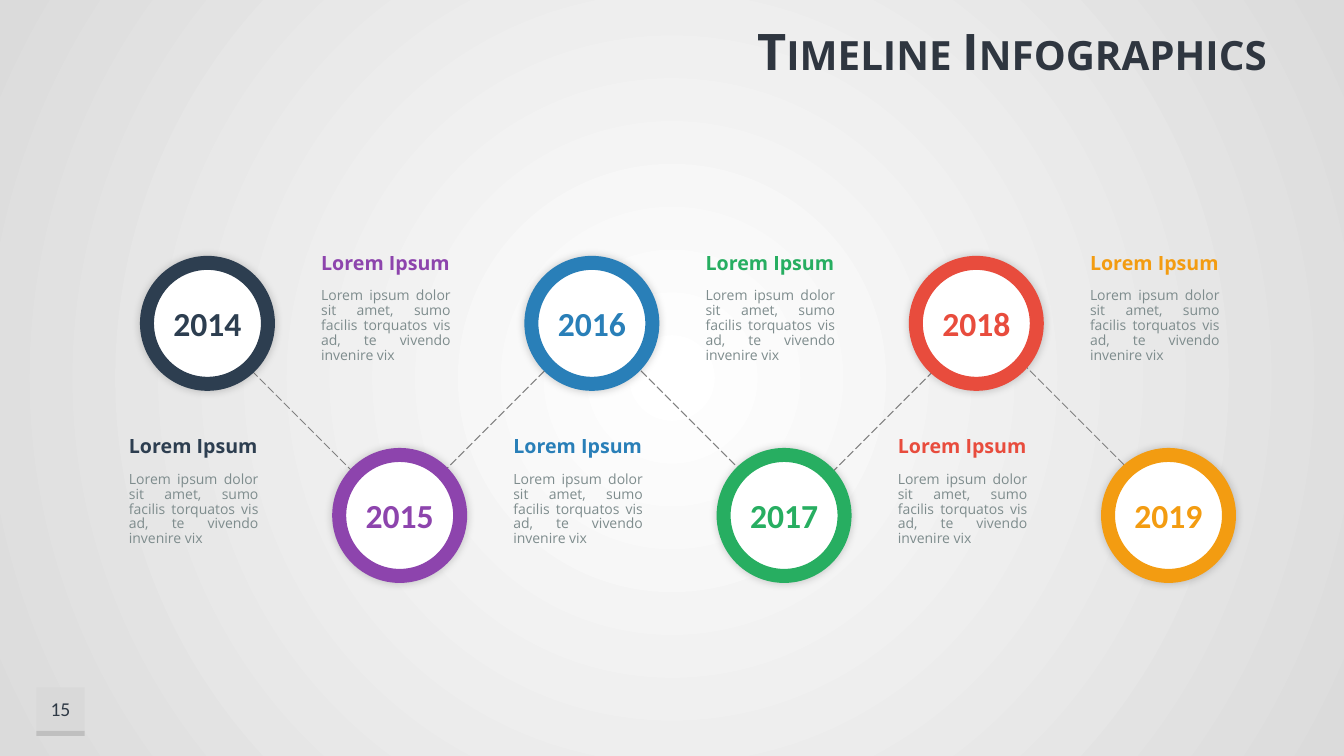
from lxml.etree import SubElement
from pptx import Presentation
from pptx.dml.color import RGBColor
from pptx.enum.dml import MSO_LINE
from pptx.enum.shapes import MSO_CONNECTOR, MSO_SHAPE
from pptx.enum.text import MSO_ANCHOR, MSO_AUTO_SIZE, PP_ALIGN
from pptx.oxml import parse_xml
from pptx.oxml.ns import nsdecls, qn
from pptx.util import Pt

COLORS = {
    "title": "2F3640", "number": "2F3A46", "body": "7E8C8D", "dash": "808080",
    "white": "FFFFFF", "edge": "DBDBDB", "tile": "D9D9D9", "bar": "BFBFBF",
    "navy": "2D3E50", "purple": "8D44AD", "blue": "297FB8",
    "green": "27AE61", "red": "E84C3D", "orange": "F39C11",
}
MILESTONES = [("2014", "navy"), ("2015", "purple"), ("2016", "blue"),
              ("2017", "green"), ("2018", "red"), ("2019", "orange")]
HEADING = "Lorem Ipsum"
BODY = ("Lorem ipsum dolor sit amet, sumo facilis torquatos vis ad, "
        "te vivendo invenire vix")

COLUMN_STEP = 137.3
CIRCLE_LEFT, CIRCLE_SIZE = 105, 86.4
CIRCLE_TOPS = (187.8, 325)      # upper row, lower row
TEXT_LEFT = 85
TEXT_TOPS = (308.9, 177.8)      # opposite the circle of the same column
LINE_STARTS = (145.4, 287.3, 423.4, 565.2, 701.3)
LINE_SPAN = 136.1
LINE_TOP = 230.4


def color(name):
    return RGBColor.from_string(COLORS[name])


def write(shape, text, size, font_name, color_name, bold=False,
          align=PP_ALIGN.LEFT, spacing=None):
    shape.text_frame.text = text
    paragraph = shape.text_frame.paragraphs[0]
    paragraph.alignment = align
    if spacing:
        paragraph.line_spacing = spacing
    font = paragraph.runs[0].font
    font.size, font.name, font.bold = Pt(size), font_name, bold
    font.color.rgb = color(color_name)
    return font


def center_in(shape):
    """Middle anchor and no insets, for a short label inside a shape."""
    frame = shape.text_frame
    frame.vertical_anchor = MSO_ANCHOR.MIDDLE
    frame.margin_left = frame.margin_right = 0
    frame.margin_top = frame.margin_bottom = 0


def set_background(slide):
    fill = slide.background.fill
    fill.gradient()
    for stop, name, position in zip(fill.gradient_stops, ("white", "edge"), (0, 1)):
        stop.color.rgb = color(name)
        stop.position = position
    linear = slide.background.fill._xPr.find(".//" + qn("a:lin"))
    linear.getparent().replace(linear, parse_xml(
        f'<a:path {nsdecls("a")} path="circle">'
        '<a:fillToRect l="50000" t="50000" r="50000" b="50000"/></a:path>'))


def set_title(slide, text):
    title = slide.shapes.title
    title.left, title.top, title.width, title.height = Pt(140.4), Pt(11.5), Pt(771.8), Pt(49)
    title.text_frame.vertical_anchor = MSO_ANCHOR.MIDDLE
    title.text_frame.auto_size = MSO_AUTO_SIZE.NONE
    font = write(title, text, 36, "Open Sans", "title", True, PP_ALIGN.RIGHT)
    font._element.set("cap", "small")


def add_filled(slide, kind, left, top, width, height, fill):
    shape = slide.shapes.add_shape(kind, Pt(left), Pt(top), Pt(width), Pt(height))
    shape.shadow.inherit = False
    shape.fill.solid()
    shape.fill.fore_color.rgb = color(fill)
    shape.line.fill.background()
    return shape


def add_page_number(slide, number):
    tile = add_filled(slide, MSO_SHAPE.RECTANGLE, 25.9, 491, 34.6, 31, "tile")
    center_in(tile)
    write(tile, number, 14, "Calibri", "number", align=PP_ALIGN.CENTER)
    add_filled(slide, MSO_SHAPE.RECTANGLE, 25.9, 522, 34.6, 3.6, "bar")


def add_text(slide, left, top, width, height, wrap):
    box = slide.shapes.add_textbox(Pt(left), Pt(top), Pt(width), Pt(height))
    box.text_frame.word_wrap = wrap
    box.text_frame.auto_size = MSO_AUTO_SIZE.SHAPE_TO_FIT_TEXT
    return box


def add_description(slide, left, top, color_name):
    heading = add_text(slide, left, top, 107.3, 24.5, False)
    write(heading, HEADING, 14, "Open Sans", color_name, True, spacing=0.88)
    body = add_text(slide, left, top + 25.2, 106.6, 67.7, True)
    write(body, BODY, 10, "Open Sans", "body", align=PP_ALIGN.JUSTIFY, spacing=0.88)


def add_dashed_line(slide, left, rising):
    ends = (LINE_TOP, LINE_TOP + LINE_SPAN)
    start, end = reversed(ends) if rising else ends
    line = slide.shapes.add_connector(
        MSO_CONNECTOR.STRAIGHT, Pt(left), Pt(start), Pt(left + LINE_SPAN), Pt(end))
    line.line.color.rgb = color("dash")
    line.line.width = Pt(0.75)
    line.line.dash_style = MSO_LINE.LONG_DASH
    SubElement(line._element.spPr, qn("a:effectLst"))


def add_year_circle(slide, left, top, year, color_name):
    circle = add_filled(slide, MSO_SHAPE.OVAL, left, top, CIRCLE_SIZE, CIRCLE_SIZE, "white")
    circle.line.color.rgb = color(color_name)
    circle.line.width = Pt(10)
    center_in(circle)
    write(circle, year, 24, "Calibri", color_name, True, PP_ALIGN.CENTER)
    circle._element.spPr.find(qn("a:effectLst")).append(parse_xml(
        f'<a:outerShdw {nsdecls("a")} blurRad="{Pt(6)}" dist="0" dir="13500000">'
        '<a:srgbClr val="000000"><a:alpha val="20000"/></a:srgbClr></a:outerShdw>'))


def main():
    presentation = Presentation()
    presentation.slide_width, presentation.slide_height = Pt(960), Pt(540)
    slide = presentation.slides.add_slide(presentation.slide_layouts[5])
    set_background(slide)
    set_title(slide, "Timeline Infographics")
    add_page_number(slide, "15")
    for index, left in enumerate(LINE_STARTS):
        add_dashed_line(slide, left, rising=index % 2 == 1)
    for index, (year, color_name) in enumerate(MILESTONES):
        offset, row = index * COLUMN_STEP, index % 2
        add_description(slide, TEXT_LEFT + offset, TEXT_TOPS[row], color_name)
        add_year_circle(slide, CIRCLE_LEFT + offset, CIRCLE_TOPS[row], year, color_name)
    presentation.save("out.pptx")


if __name__ == "__main__":
    main()
